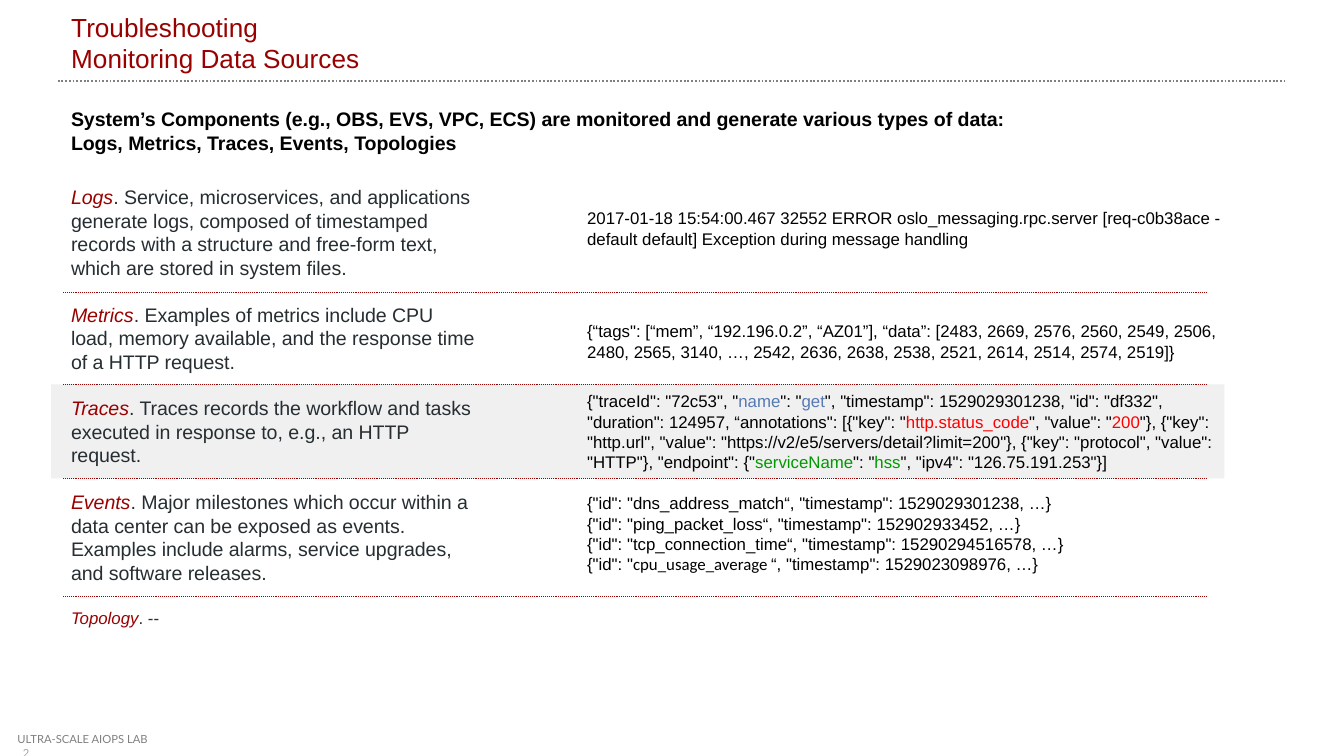
from pptx import Presentation
from pptx.dml.color import RGBColor
from pptx.enum.dml import MSO_LINE
from pptx.enum.shapes import MSO_CONNECTOR, MSO_SHAPE
from pptx.enum.text import MSO_ANCHOR, PP_ALIGN
from pptx.oxml.ns import qn
from pptx.util import Inches, Pt
from lxml import etree

DOTS = MSO_LINE.ROUND_DOT
STRAIGHT = MSO_CONNECTOR.STRAIGHT
RECT = MSO_SHAPE.RECTANGLE
BOTTOM = MSO_ANCHOR.BOTTOM
LEFT = PP_ALIGN.LEFT

MAROON = RGBColor(0x99, 0x00, 0x00)
INK = RGBColor(0x26, 0x2E, 0x32)
BLACK = RGBColor(0x00, 0x00, 0x00)
BLUE = RGBColor(0x55, 0x79, 0xB3)
RED = RGBColor(0xFF, 0x00, 0x00)
GREEN = RGBColor(0x00, 0x99, 0x00)
GRAY = RGBColor(0x80, 0x80, 0x80)
SILVER = RGBColor(0xA6, 0xA6, 0xA6)
PALE = RGBColor(0xF0, 0xF0, 0xF0)

SOURCES = [
    ("Logs", ". Service, microservices, and applications generate logs, composed of "
     "timestamped records with a structure and free-form text, which are stored in "
     "system files."),
    ("Metrics", ". Examples of metrics include CPU load, memory available, and the "
     "response time of a HTTP request."),
    ("Traces", ". Traces records the workflow and tasks executed in response to, e.g., "
     "an HTTP request."),
    ("Events", ". Major milestones which occur within a data center can be exposed as "
     "events. Examples include alarms, service upgrades, and software releases."),
    ("Topology", ". --"),
]

LOG = ["2017-01-18 15:54:00.467 32552 ERROR oslo_messaging.rpc.server [req-c0b38ace - "
       "default default] Exception during message handling"]
METRIC = ['{“tags": [“mem”, “192.196.0.2”, “AZ01”], “data”: [2483, 2669, 2576, 2560, '
          '2549, 2506, 2480, 2565, 3140, …, 2542, 2636, 2638, 2538, 2521, 2614, 2514, '
          '2574, 2519]}']
TRACE = [[
    ('{"traceId": "72c53", "', BLACK), ("name", BLUE), ('": "', BLACK), ("get", BLUE),
    ('", "timestamp": 1529029301238, "id": "df332", "duration": 124957, '
     '“annotations": [{"key": "', BLACK),
    ("http.status_code", RED), ('", "value": "', BLACK), ("200", RED),
    ('"}, {"key": "http.url", "value": "https://v2/e5/servers/detail?limit=200"}, '
     '{"key": "protocol", "value": "HTTP"}, "endpoint": {"', BLACK),
    ("serviceName", GREEN), ('": "', BLACK), ("hss", GREEN),
    ('", "ipv4": "126.75.191.253"}]', BLACK),
]]
EVENT = [
    '{"id": "dns_address_match“, "timestamp": 1529029301238, …}',
    '{"id": "ping_packet_loss“, "timestamp": 152902933452, …}',
    '{"id": "tcp_connection_time“, "timestamp": 15290294516578, …}',
    [('{"id": "', BLACK), ("cpu_usage_average ", BLACK, "Calibri"),
     ('“, "timestamp": 1529023098976, …}', BLACK)],
]
# sample text, its top and height
SAMPLES = [(LOG, 1.5, 0.4), (METRIC, 2.34, 0.4), (TRACE, 2.86, 0.71),
           (EVENT, 3.62, 0.71)]
RULES = [2.18, 2.86, 3.56, 4.44]


def set_font(font, size, color, name="Arial"):
    font.size = Pt(size)
    font.name = name
    font.color.rgb = color


def add_frame(slide, x, y, w, h):
    box = slide.shapes.add_textbox(Inches(x), Inches(y), Inches(w), Inches(h))
    box.text_frame.word_wrap = True
    return box.text_frame


def next_para(frame, i):
    return frame.add_paragraph() if i else frame.paragraphs[0]


def add_rule(slide, x, y, w, color, width):
    line = slide.shapes.add_connector(STRAIGHT, Inches(x), Inches(y),
                                      Inches(x + w), Inches(y))
    line.line.color.rgb = color
    line.line.width = Pt(width)
    line.line.dash_style = DOTS
    etree.SubElement(line._element.spPr, qn("a:effectLst"))


def add_title(slide, x, y, w, h):
    title = slide.shapes.title
    title.left, title.top = Inches(x), Inches(y)
    title.width, title.height = Inches(w), Inches(h)
    frame = title.text_frame
    frame.vertical_anchor = BOTTOM
    frame.text = "Troubleshooting \vMonitoring Data Sources"
    para = frame.paragraphs[0]
    para.alignment = LEFT
    set_font(para.font, 14, MAROON)
    add_rule(slide, x, y + h, w, GRAY, 1)


def add_intro(slide, x, y, w, h):
    para = add_frame(slide, x, y, w, h).paragraphs[0]
    para.text = ("System’s Components (e.g., OBS, EVS, VPC, ECS) are monitored and "
                 "generate various types of data: Logs, Metrics, Traces, Events, "
                 "Topologies")
    set_font(para.font, 10.5, BLACK)
    para.font.bold = True


def add_sources(slide, x, y, w, h):
    frame = add_frame(slide, x, y, w, h)
    for i, (name, text) in enumerate(SOURCES):
        para = next_para(frame, i)
        if i:
            para.space_before = Pt(12.5)
        set_font(para.font, 9 if name == "Topology" else 10.5, INK)
        term = para.add_run()
        term.text = name
        term.font.italic = True
        term.font.color.rgb = MAROON
        para.add_run().text = text


def add_sample(slide, lines, x, y, w, h):
    """Each line is plain text or a list of (text, colour[, font])."""
    frame = add_frame(slide, x, y, w, h)
    for i, line in enumerate(lines):
        para = next_para(frame, i)
        set_font(para.font, 9, BLACK)
        parts = [(line, BLACK)] if isinstance(line, str) else line
        for text, color, *face in parts:
            run = para.add_run()
            run.text = text
            if color != BLACK:
                run.font.color.rgb = color
            if face:
                run.font.name = face[0]


def add_band(slide, x, y, w, h):
    band = slide.shapes.add_shape(RECT, Inches(x), Inches(y), Inches(w), Inches(h))
    band.shadow.inherit = False
    band.fill.solid()
    band.fill.fore_color.rgb = PALE
    band.line.fill.background()


def add_footer(slide, x, y, w, h):
    frame = add_frame(slide, x, y, w, h)
    frame.word_wrap = False
    frame.margin_left = frame.margin_top = frame.margin_bottom = 0
    frame.margin_right = Inches(0.07)
    for i, (text, color) in enumerate([("ULTRA-SCALE AIOPS LAB", GRAY), ("2", SILVER)]):
        para = next_para(frame, i)
        para.text = text
        para._p.get_or_add_pPr().set("marL", str(Inches(0.04 * i)))
        set_font(para.font, 6, color, "Lato")


def main():
    deck = Presentation()
    deck.slide_width, deck.slide_height = Inches(10), Inches(10 * 9 / 16)
    slide = deck.slides.add_slide(deck.slide_layouts[5])
    add_footer(slide, 0.13, 5.45, 1.11, 0.1)
    add_band(slide, 0.38, 2.86, 8.73, 0.7)
    add_title(slide, 0.43, 0, 9.13, 0.6)
    add_intro(slide, 0.43, 0.75, 7.38, 0.45)
    add_sources(slide, 0.43, 1.33, 3.22, 3.43)
    for lines, y, h in SAMPLES:
        add_sample(slide, lines, 4.27, y, 4.95, h)
    for y in RULES:
        add_rule(slide, 0.47, y, 8.51, MAROON, 0.5)
    deck.save("out.pptx")


if __name__ == "__main__":
    main()
